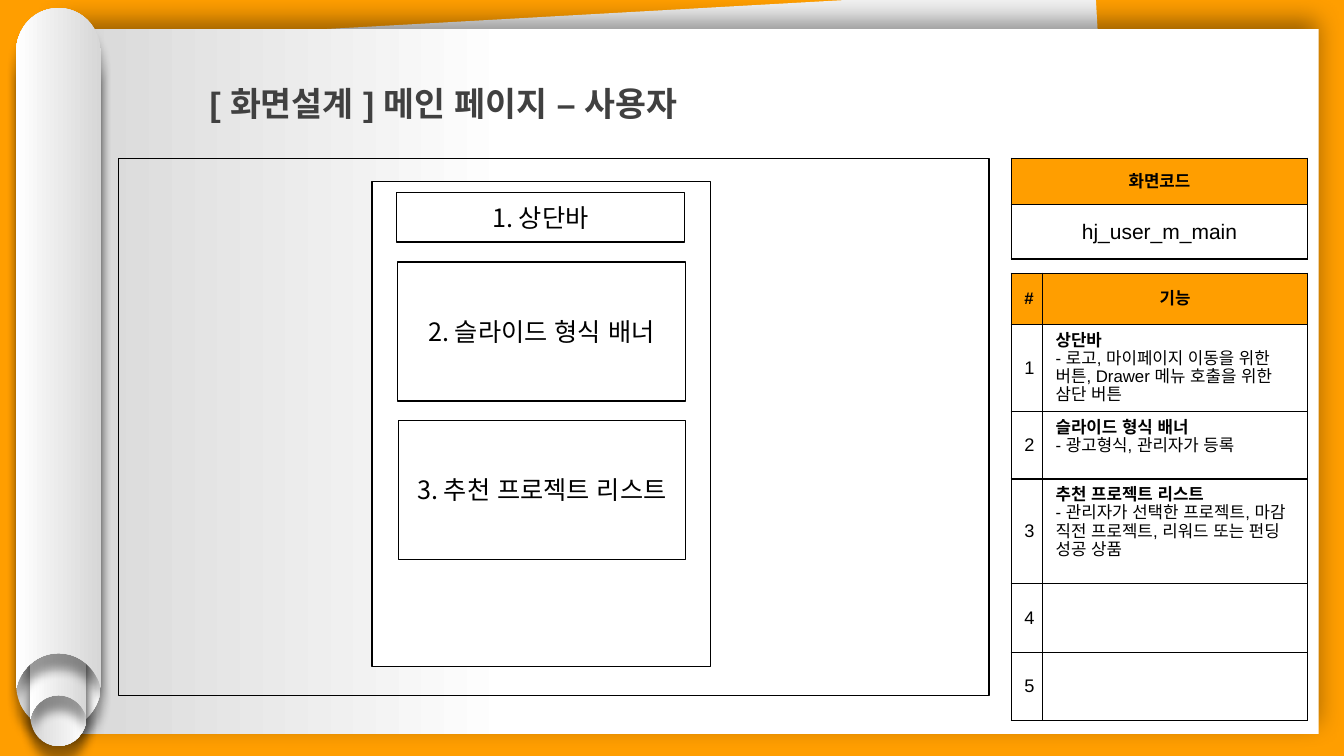
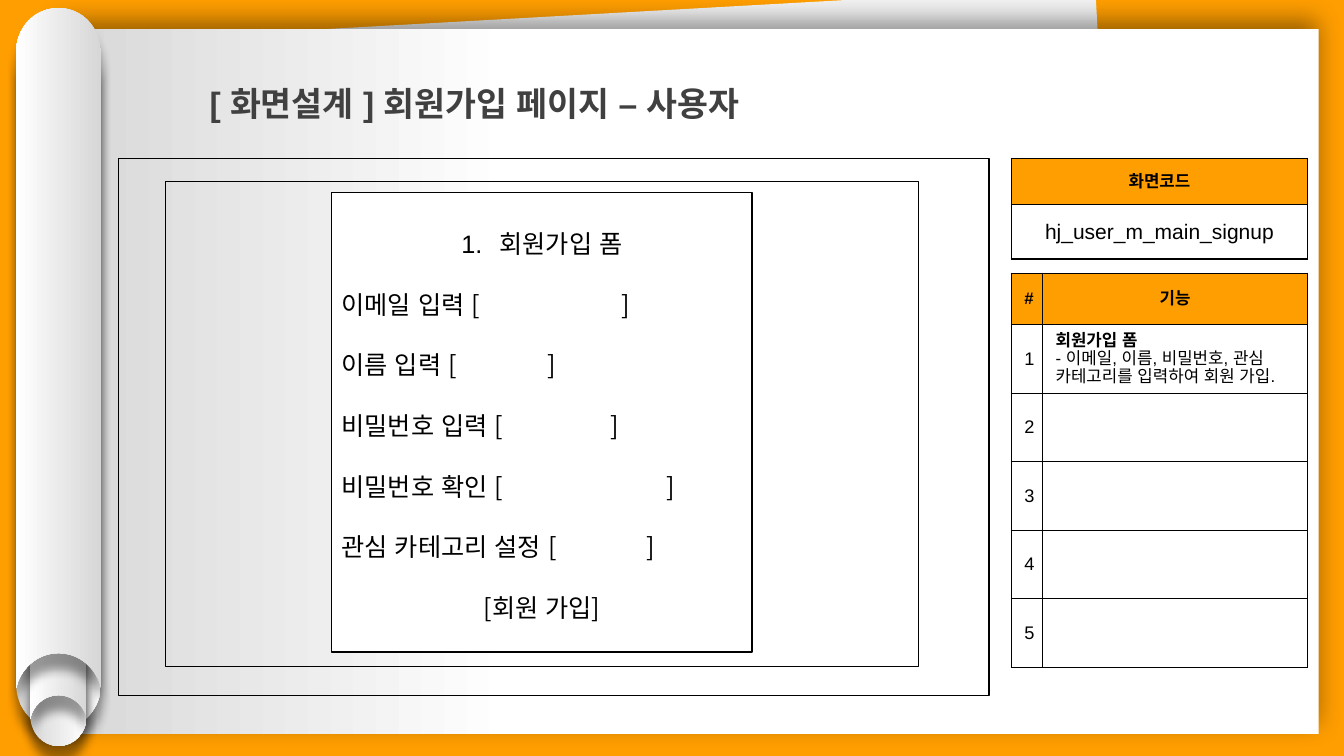
import pptx
import pptx.util
import pptx.dml.color
import pptx.enum.shapes
import pptx.enum.text
from lxml import etree
from pptx.oxml.ns import qn

Inches, Pt = pptx.util.Inches, pptx.util.Pt
RGB = pptx.dml.color.RGBColor
ALIGN = pptx.enum.text.PP_ALIGN
MIDDLE = pptx.enum.text.MSO_ANCHOR.MIDDLE
RECT = pptx.enum.shapes.MSO_SHAPE.RECTANGLE

ORANGE = RGB(0xFF, 0x9E, 0x00)
WHITE = RGB(0xFF, 0xFF, 0xFF)
BLACK = RGB(0, 0, 0)
GREY = RGB(0xD7, 0xD7, 0xD7)
PALE = RGB(0xF2, 0xF2, 0xF2)
DARK = RGB(0x40, 0x40, 0x40)
BODY, WIRE = "Arial", "Noto Sans CJK KR"

# Content: features are (name, description), rows are heights in inches
MAIN = dict(
    title="[ 화면설계 ] 메인 페이지 – 사용자",
    code="hj_user_m_main",
    features=[
        ("상단바", "- 로고, 마이페이지 이동을 위한 버튼, Drawer 메뉴 호출을 위한 삼단 버튼"),
        ("슬라이드 형식 배너", "- 광고형식, 관리자가 등록"),
        ("추천 프로젝트 리스트",
         "- 관리자가 선택한 프로젝트, 마감 직전 프로젝트, 리워드 또는 펀딩 성공 상품"),
    ],
    rows=[0.51, 0.86, 0.67, 1.04, 0.68, 0.68],
)
SIGNUP = dict(
    title="[ 화면설계 ] 회원가입 페이지 – 사용자",
    code="hj_user_m_main_signup",
    features=[("회원가입 폼", "- 이메일, 이름, 비밀번호, 관심 카테고리를 입력하여 회원 가입.")],
    rows=[0.51] + [0.68] * 5,
)
# Mobile blocks: label, box
BLOCKS = [
    ("1. 상단바", (3.93, 1.91, 2.86, 0.49)),
    ("2. 슬라이드 형식 배너", (3.94, 2.6, 2.86, 1.38)),
    ("3. 추천 프로젝트 리스트", (3.95, 4.17, 2.85, 1.38)),
]
# Form fields: label, position of the closing bracket
FORM_HEAD, FORM_BUTTON = "회원가입 폼", "[회원 가입]"
FIELDS = [
    ("이메일 입력", 2.78),
    ("이름 입력", 2.04),
    ("비밀번호 입력", 2.67),
    ("비밀번호 확인", 3.22),
    ("관심 카테고리 설정", 3.02),
]
# Scroll rolls: left, top, width, height, cap height, rotation
ROLLS = [
    (0.16, 0.48, 0.84, 6.75, 0.44, 180),
    (0.3, 2.88, 0.56, 4.52, 0.3, 180),
    (0.3, 2.61, 0.56, 4.52, 0.3, 0),
    (0.16, 0.08, 0.84, 6.75, 0.44, 0),
]


# Shared helpers
def add_run(p, text, size, font=BODY, color=BLACK, bold=False):
    r = p.add_run()
    r.text = text
    r.font.size, r.font.bold, r.font.name = Pt(size), bold, font
    r.font.color.rgb = color
    etree.SubElement(r.font._element, qn("a:ea"), typeface=BODY)


def add_rect(s, box, fill=None, line=None):
    sp = s.shapes.add_shape(RECT, *map(Inches, box))
    sp.shadow.inherit = False
    if fill is None:
        sp.fill.background()
    else:
        sp.fill.solid()
        sp.fill.fore_color.rgb = fill
    if line is None:
        sp.line.fill.background()
    else:
        sp.line.color.rgb = BLACK
        sp.line.width = Pt(line)
    return sp


def shade(sp, stops):
    sp.fill.gradient()
    sp.fill.gradient_angle = 180
    for stop, (position, color) in zip(sp.fill.gradient_stops, stops):
        stop.position = position
        stop.color.rgb = color


def cast_shadow(sp, blur, dist, angle):
    sp.shadow.inherit = False
    effects = sp._element.spPr.find(qn("a:effectLst"))
    shadow = etree.SubElement(
        effects, qn("a:outerShdw"), blurRad=str(Pt(blur)), dist=str(Pt(dist)),
        dir=str(angle * 60000), algn="ctr", rotWithShape="0")
    color = etree.SubElement(shadow, qn("a:srgbClr"), val=str(BLACK))
    etree.SubElement(color, qn("a:alpha"), val="40000")


def add_roll(s, left, top, width, height, cap, rotation):
    radius = width / 2
    k = width / 0.84
    # right half from the cap down to the hollow: one point a line, three a curve
    half = [
        [(radius * 0.57, 0), (radius, cap * 0.45), (radius, cap)],
        [(radius, height)],
        [(radius - 0.02 * k, height - 0.07 * k)],
        [(radius - 0.09 * k, height - 0.24 * k),
         (radius - 0.24 * k, height - 0.35 * k), (0, height - 0.35 * k)],
    ]
    # left half: the same points mirrored and walked back up
    flat = [(0, 0)] + [point for part in half for point in part]
    back = [(-x, y) for x, y in reversed(flat[:-1])]
    points = [(Inches(left + radius + x), Inches(top + y)) for x, y in flat + back]
    builder = s.shapes.build_freeform(*points[0])
    builder.add_line_segments(points[1:], close=True)
    sp = builder.convert_to_shape()

    sizes = [len(part) for part in half]
    segments = list(sp._element.iter(qn("a:lnTo")))
    for size in sizes + sizes[::-1]:
        group, segments = segments[:size], segments[size:]
        if size == 3:
            curve = etree.Element(qn("a:cubicBezTo"))
            group[0].addprevious(curve)
            for segment in group:
                curve.append(segment[0])
                segment.getparent().remove(segment)

    sp.rotation = rotation
    sp.line.fill.background()
    shade(sp, [(0, GREY), (1, WHITE)])
    cast_shadow(sp, 7, 11, 90)


def add_table(s, box, cols, rows):
    frame = s.shapes.add_table(len(rows), len(cols), *map(Inches, box))
    table = frame.table
    table.first_row = table.horz_banding = False
    for col, width in zip(table.columns, cols):
        col.width = Inches(width)
    for row, height in zip(table.rows, rows):
        row.height = Inches(height)
    for n, cell in enumerate(table.iter_cells()):
        cell.margin_left = cell.margin_right = Inches(0.13)
        cell.margin_top = cell.margin_bottom = Inches(0.07)
        tcPr = cell._tc.get_or_add_tcPr()
        for side in ("lnL", "lnR", "lnT", "lnB"):
            ln = etree.SubElement(tcPr, qn("a:" + side), w=str(Pt(1)))
            fill = etree.SubElement(ln, qn("a:solidFill"))
            etree.SubElement(fill, qn("a:srgbClr"), val=str(BLACK))
        if n < len(cols):
            cell.fill.solid()
            cell.fill.fore_color.rgb = ORANGE
        else:
            cell.fill.background()
    return table


def center_cell(cell, text, size, bold=False):
    cell.vertical_anchor = MIDDLE
    p = cell.text_frame.paragraphs[0]
    p.alignment = ALIGN.CENTER
    add_run(p, text, size, bold=bold)


# Background, scroll, title, frame and both tables
def add_page(prs, page):
    s = prs.slides.add_slide(prs.slide_layouts[6])
    s.background.fill.solid()
    s.background.fill.fore_color.rgb = ORANGE
    add_rect(s, (0.91, 0.14, 10.15, 6.8), PALE).rotation = 356.8
    paper = add_rect(s, (0.58, 0.29, 12.5, 6.99))
    shade(paper, [(0.64, WHITE), (1, GREY)])
    cast_shadow(paper, 18, 6, 270)
    for roll in ROLLS:
        add_roll(s, *roll)

    codes = add_table(s, (10.03, 1.57, 2.94, 1), [2.94], [0.46, 0.54])
    center_cell(codes.cell(0, 0), "화면코드", 12, bold=True)
    center_cell(codes.cell(1, 0), page["code"], 15)
    add_rect(s, (1.18, 1.57, 8.63, 5.33), line=0.75)

    rows = page["rows"]
    table = add_table(s, (10.03, 2.71, 2.94, sum(rows)), [0.31, 2.63], rows)
    for col, head in enumerate(("#", "기능")):
        center_cell(table.cell(0, col), head, 12, bold=True)
    for n in range(1, len(rows)):
        center_cell(table.cell(n, 0), str(n), 13)
    for n, feature in enumerate(page["features"], 1):
        tf = table.cell(n, 1).text_frame
        for i, text in enumerate(feature):
            p = tf.add_paragraph() if i else tf.paragraphs[0]
            p.line_spacing = Pt(13)
            add_run(p, text, 12, bold=i == 0)

    title = s.shapes.add_textbox(*map(Inches, (1.98, 0.57, 10.55, 0.63)))
    tf = title.text_frame
    tf.word_wrap = True
    tf.auto_size = pptx.enum.text.MSO_AUTO_SIZE.SHAPE_TO_FIT_TEXT
    p = tf.paragraphs[0]
    p.line_spacing = 1.5
    add_run(p, page["title"], 24, color=DARK, bold=True)
    return s


prs = pptx.Presentation()
prs.slide_width, prs.slide_height = Inches(13.33), Inches(7.5)

# Main page wireframe
s = add_page(prs, MAIN)
add_rect(s, (3.69, 1.8, 3.36, 4.81), WHITE, 1)
for label, box in BLOCKS:
    tf = add_rect(s, box, line=1).text_frame
    tf.word_wrap = True
    tf.vertical_anchor = MIDDLE
    p = tf.paragraphs[0]
    p.alignment = ALIGN.CENTER
    add_run(p, label, 18, WIRE)

# Sign-up form wireframe
s = add_page(prs, SIGNUP)
add_rect(s, (1.64, 1.8, 7.47, 4.81), line=1)
tf = add_rect(s, (3.29, 1.91, 4.17, 4.56), WHITE, 1).text_frame
tf.word_wrap = True
tf.vertical_anchor = MIDDLE
lines = [(FORM_HEAD, None)]
lines += [(label + " [\t]", stop) for label, stop in FIELDS]
lines += [(FORM_BUTTON, None)]
for i, (text, stop) in enumerate(lines):
    p = tf.add_paragraph() if i else tf.paragraphs[0]
    p.alignment = ALIGN.LEFT if stop else ALIGN.CENTER
    p.line_spacing = Pt(26)
    p.space_before = Pt(17.25 if i else 0)
    pPr = p._p.get_or_add_pPr()
    if stop:
        tabs = etree.SubElement(pPr, qn("a:tabLst"))
        etree.SubElement(tabs, qn("a:tab"), pos=str(Inches(stop)), algn="l")
    elif i == 0:
        pPr.set("marL", str(Inches(0.38)))
        pPr.set("indent", str(-Inches(0.38)))
        etree.SubElement(pPr, qn("a:buAutoNum"), type="arabicPeriod")
    add_run(p, text, 18, WIRE)

prs.save("out.pptx")
